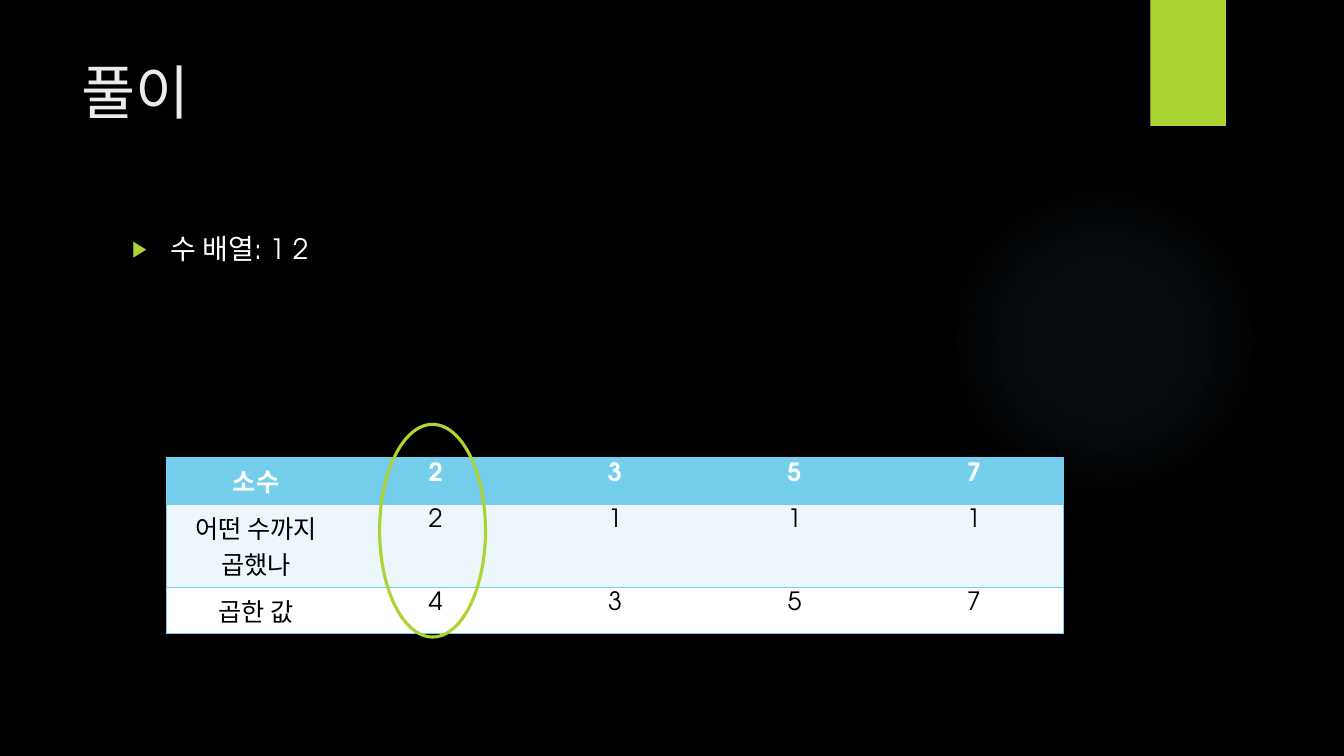
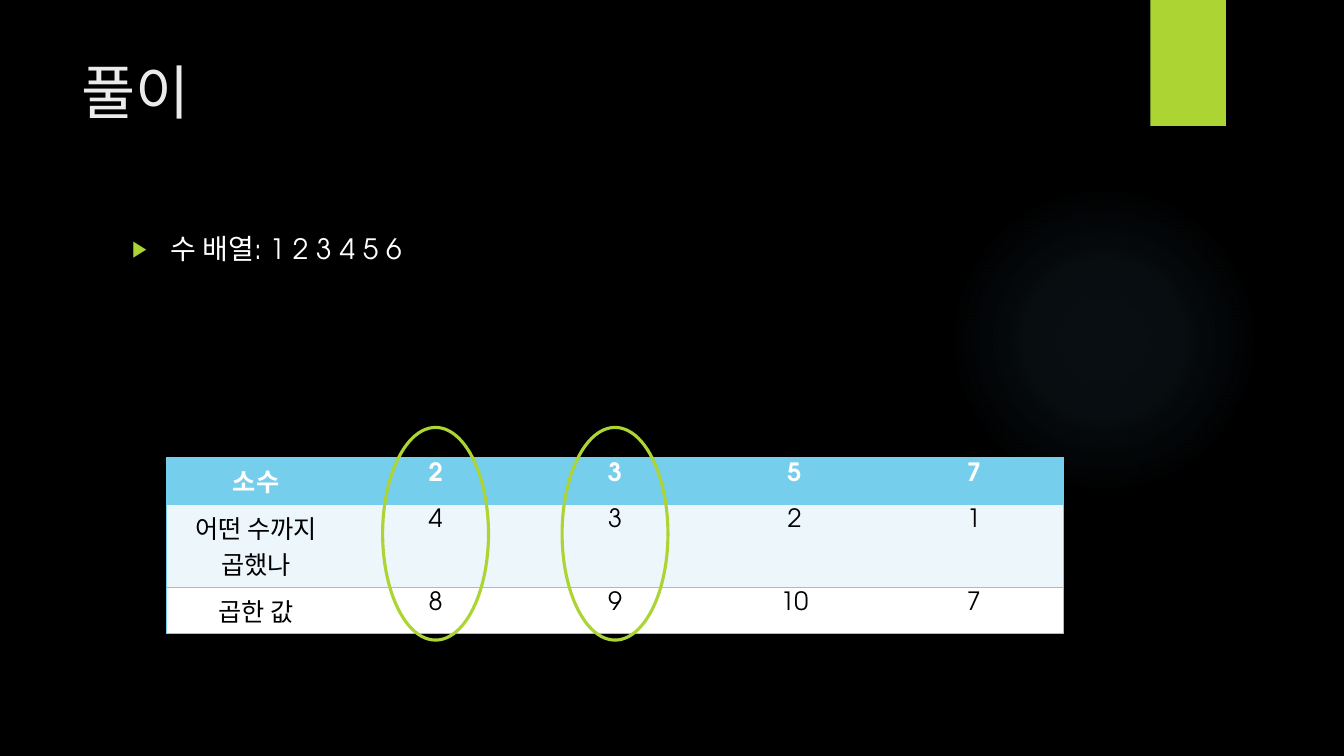
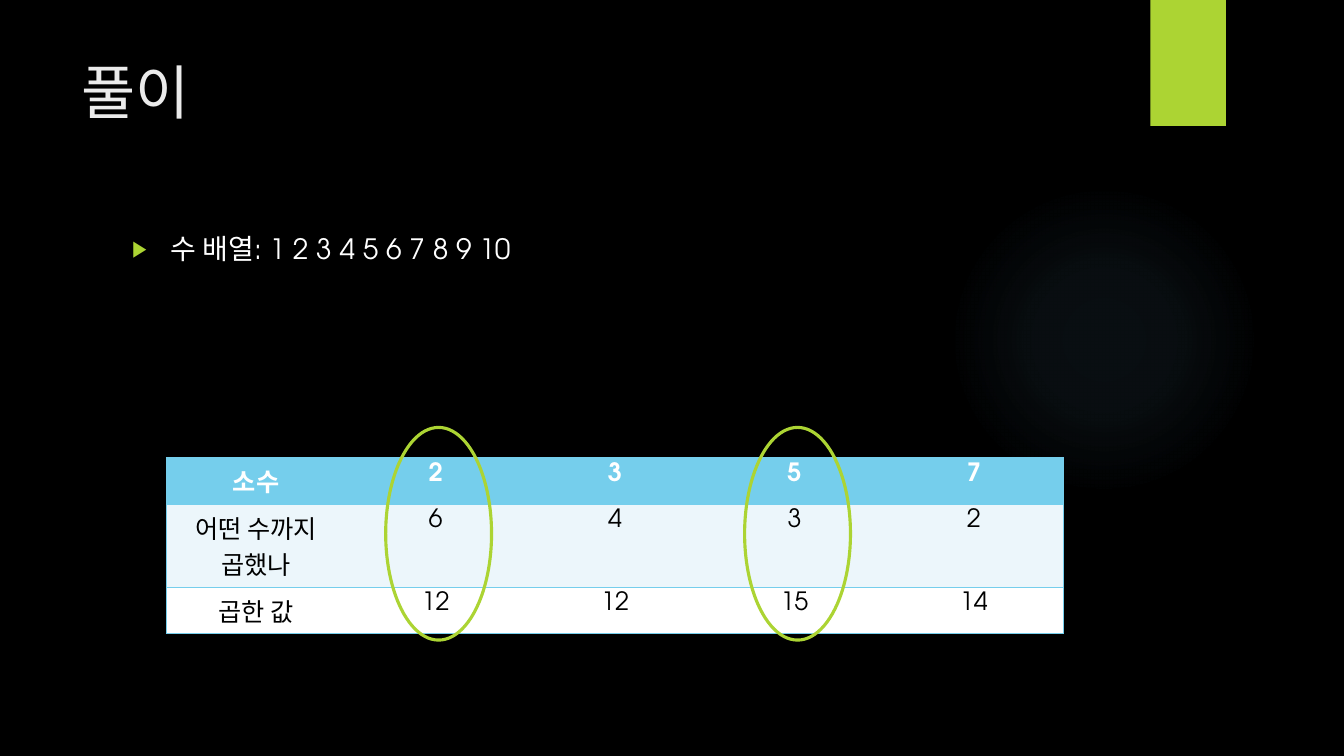
from lxml import etree
from pptx import Presentation
from pptx.dml.color import RGBColor
from pptx.enum.shapes import MSO_SHAPE
from pptx.enum.text import MSO_ANCHOR, MSO_AUTO_SIZE, PP_ALIGN
from pptx.oxml import parse_xml
from pptx.oxml.ns import qn
from pptx.util import Inches, Pt

OVAL = MSO_SHAPE.OVAL
RECTANGLE = MSO_SHAPE.RECTANGLE
TOP = MSO_ANCHOR.TOP
NO_FIT = MSO_AUTO_SIZE.NONE
LEFT = PP_ALIGN.LEFT
CENTER = PP_ALIGN.CENTER

FONT = "TeX Gyre Adventor"
LIME = "ACD433"
SKY = "75CEEC"
GLOW = "7AC4F0"
BLACK = "000000"
WHITE = "FFFFFF"
TITLE_GREY = "EBEBEB"
DRAWING = "http://schemas.openxmlformats.org/drawingml/2006/main"
PLAIN_TABLE = "{2D5ABB26-0587-4C30-8999-92F81FD0307C}"

TABLE_LEFT, TABLE_TOP = 1.65, 4.54
COLUMN_WIDTH, ROW_HEIGHT = 1.78, 0.41
RING_WIDTH, RING_HEIGHT = 1.05, 2.11
PRIMES = ["2", "3", "5", "7"]
ROW_STYLES = [(SKY, WHITE, True), ("ECF6FB", BLACK, False), (WHITE, BLACK, False)]

STEPS = [
    {"numbers": "1 2", "factors": "2 1 1 1", "products": "4 3 5 7",
     "ringed": [1], "shift": -0.03, "ring_top": 4.21},
    {"numbers": "1 2 3 4 5 6", "factors": "4 3 2 1", "products": "8 9 10 7",
     "ringed": [1, 2], "shift": 0, "ring_top": 4.24},
    {"numbers": "1 2 3 4 5 6 7 8 9 10", "factors": "6 4 3 2", "products": "12 12 15 14",
     "ringed": [1, 3], "shift": 0.03, "ring_top": 4.24},
]


def colour(value):
    return RGBColor.from_string(value)


def write(frame, text, size=18, color=WHITE, bold=False, align=LEFT):
    para = frame.paragraphs[0]
    para.text = text
    para.alignment = align
    for span in para.runs:
        span.font.name = FONT
        span.font.size = Pt(size)
        span.font.bold = bold
        span.font.color.rgb = colour(color)
    return para


deck = Presentation()
deck.slide_width = Inches(13.33)
deck.slide_height = Inches(7.5)

layout = deck.slide_layouts[1]
layout.background.fill.solid()
layout.background.fill.fore_color.rgb = colour(BLACK)
for index, bounds in enumerate([(0.71, 0.5, 10.29, 1.53), (1.21, 2.25, 9.78, 4.59)]):
    box = layout.placeholders[index]
    box.left, box.top, box.width, box.height = [Inches(length) for length in bounds]
    box.text_frame.vertical_anchor = TOP
    box.text_frame.auto_size = NO_FIT

pages = [deck.slides.add_slide(layout) for step in STEPS]

glow = pages[0].shapes.add_shape(OVAL, Inches(9.41), Inches(1.83), Inches(3.08), Inches(3.08))
stops = "".join(
    f'<a:gs pos="{place * 1000}"><a:srgbClr val="{GLOW}"><a:alpha val="{alpha * 1000}"/></a:srgbClr></a:gs>'
    for place, alpha in [(0, 7), (36, 6), (69, 0)]
)
gradient = parse_xml(
    f'<a:gradFill xmlns:a="{DRAWING}" rotWithShape="1"><a:gsLst>{stops}</a:gsLst>'
    '<a:path path="circle"><a:fillToRect l="50000" t="50000" r="50000" b="50000"/></a:path></a:gradFill>'
)
glow._element.spPr.find(qn("a:prstGeom")).addnext(gradient)

tab = pages[0].shapes.add_shape(RECTANGLE, Inches(11.41), 0, Inches(0.75), Inches(1.25))
tab.fill.solid()
tab.fill.fore_color.rgb = colour(LIME)

for index, decoration in enumerate([glow, tab]):
    decoration.line.fill.background()
    decoration.shadow.inherit = False
    decoration._element.nvSpPr.cNvPr.set("id", str(20 + index))
    layout.shapes._spTree.insert(2 + index, decoration._element)

for page, step in zip(pages, STEPS):
    write(page.shapes.title.text_frame, "풀이", size=42, color=TITLE_GREY)

    para = write(page.placeholders[1].text_frame, "수 배열: " + step["numbers"], size=20)
    para.space_before = Pt(10)
    properties = para._p.get_or_add_pPr()
    properties.set("marL", str(Inches(0.38)))
    properties.set("indent", str(-Inches(0.38)))
    bullet_color = etree.SubElement(properties, qn("a:buClr"))
    etree.SubElement(bullet_color, qn("a:srgbClr"), val=LIME)
    etree.SubElement(properties, qn("a:buSzPct"), val="80000")
    etree.SubElement(properties, qn("a:buChar"), char="▶")

    rows = [
        ["소수"] + PRIMES,
        ["어떤 수까지\n곱했나"] + step["factors"].split(),
        ["곱한 값"] + step["products"].split(),
    ]
    last_column = len(PRIMES)
    table = page.shapes.add_table(
        len(rows), last_column + 1, Inches(TABLE_LEFT), Inches(TABLE_TOP),
        Inches(COLUMN_WIDTH * (last_column + 1)), Inches(ROW_HEIGHT * len(rows)),
    ).table
    table._tbl.tblPr.find(qn("a:tableStyleId")).text = PLAIN_TABLE
    for row_index, (texts, (fill, ink, bold)) in enumerate(zip(rows, ROW_STYLES)):
        table.rows[row_index].height = Inches(ROW_HEIGHT)
        for column_index, text in enumerate(texts):
            cell = table.cell(row_index, column_index)
            write(cell.text_frame, text, color=ink, bold=bold, align=CENTER)
            sides = ["lnT", "lnB"]
            if column_index == 0:
                sides.insert(0, "lnL")
            if column_index == last_column:
                sides.insert(0, "lnR")
            for side in sides:
                border = etree.SubElement(cell._tc.get_or_add_tcPr(), qn("a:" + side), w=str(Pt(1)))
                paint = etree.SubElement(border, qn("a:solidFill"))
                etree.SubElement(paint, qn("a:srgbClr"), val=SKY)
            cell.fill.solid()
            cell.fill.fore_color.rgb = colour(fill)

    for column_index in step["ringed"]:
        center = TABLE_LEFT + COLUMN_WIDTH * (column_index + 0.5) + step["shift"]
        ring = page.shapes.add_shape(
            OVAL, Inches(center - RING_WIDTH / 2), Inches(step["ring_top"]),
            Inches(RING_WIDTH), Inches(RING_HEIGHT),
        )
        ring.fill.background()
        ring.line.color.rgb = colour(LIME)
        ring.line.width = Pt(2.25)
        ring.shadow.inherit = False

deck.save("out.pptx")
